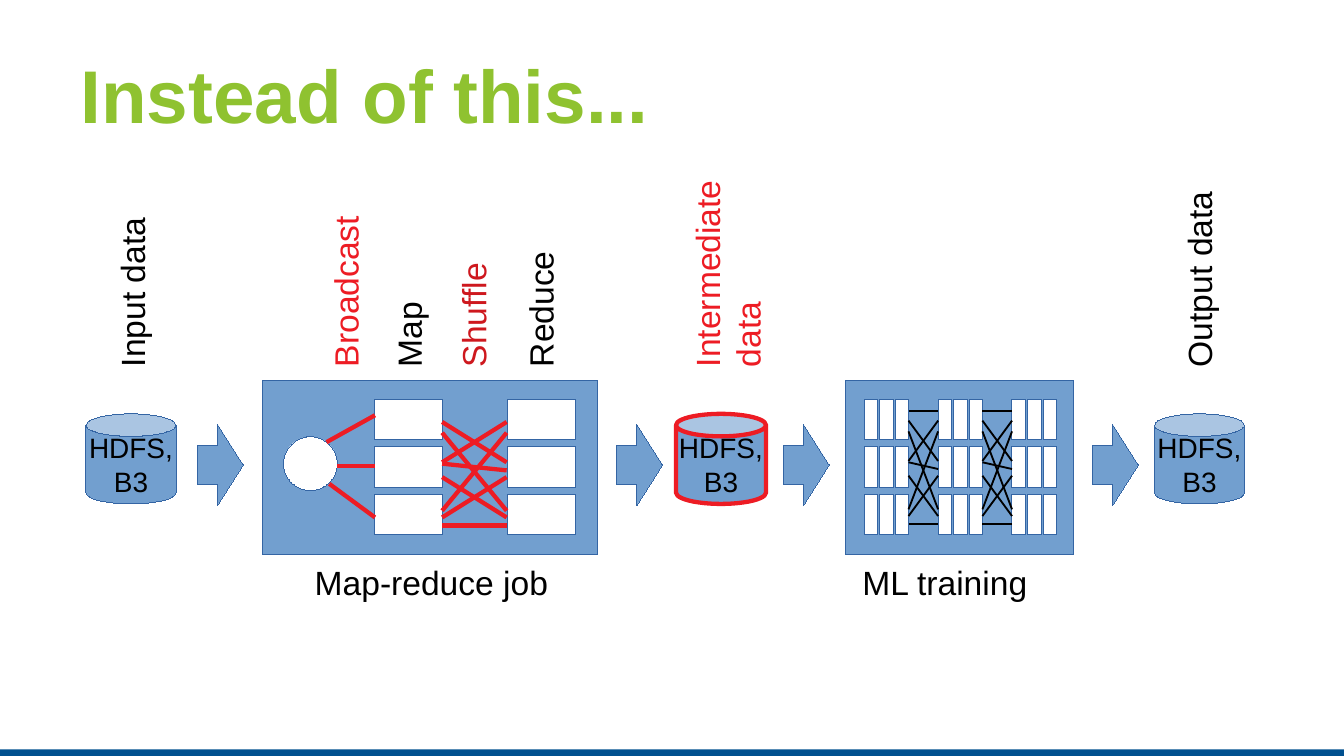
from dataclasses import dataclass
from itertools import product

from lxml.etree import SubElement
from pptx import Presentation
from pptx.dml.color import RGBColor
from pptx.enum.shapes import MSO_CONNECTOR, MSO_SHAPE
from pptx.enum.text import MSO_ANCHOR, MSO_AUTO_SIZE, PP_ALIGN
from pptx.oxml.ns import qn
from pptx.util import Inches, Pt


@dataclass(frozen=True)
class Theme:
    font: str = "Arial"
    title_size: int = 40
    label_size: int = 18
    store_size: int = 15
    hairline: float = 0.01
    thin: float = 1
    thick: float = 2.3
    green: str = "8FC230"
    navy: str = "00508F"
    blue: str = "729FCF"
    outline: str = "3465A4"
    red: str = "ED1C24"
    dark_red: str = "CE181E"
    black: str = "000000"
    white: str = "FFFFFF"


THEME = Theme()
SLIDE_WIDTH = 10
SLIDE_HEIGHT = SLIDE_WIDTH * 9 / 16
STAGE_TOP, STAGE_HEIGHT = 2.83, 1.3
ROW_TOP, ROW_STEP, ROW_HEIGHT = 2.97, 0.355, 0.3
STRAIGHT_LINK = (0.09, 0.09)
CROSSING_LINKS = [(0.46, 0.16), (0.82, 0.24), (0.16, 0.46), (0.47, 0.52),
                  (0.87, 0.57), (0.24, 0.82), (0.57, 0.87), (0.93, 0.93)]


def style_text(frame, size, color, align, bold=False):
    for paragraph in frame.paragraphs:
        paragraph.alignment = align
        for run in paragraph.runs:
            run.font.name = THEME.font
            run.font.size = Pt(size)
            run.font.bold = bold
            run.font.color.rgb = RGBColor.from_string(color)


def add_block(slide, preset, left, top, width, height, fill,
              outline=THEME.outline, weight=THEME.hairline):
    block = slide.shapes.add_shape(
        preset, Inches(left), Inches(top), Inches(width), Inches(height))
    block.shadow.inherit = False
    block.fill.solid()
    block.fill.fore_color.rgb = RGBColor.from_string(fill)
    if outline:
        block.line.color.rgb = RGBColor.from_string(outline)
        block.line.width = Pt(weight)
    else:
        block.line.fill.background()
    return block


def add_title(slide, text):
    title = slide.shapes.title
    title.left, title.top = Inches(0.5), Inches(0.23)
    title.width, title.height = Inches(9), Inches(0.94)
    frame = title.text_frame
    frame.text = text
    frame.auto_size = MSO_AUTO_SIZE.NONE
    frame.vertical_anchor = MSO_ANCHOR.MIDDLE
    style_text(frame, THEME.title_size, THEME.green, PP_ALIGN.LEFT, bold=True)


def add_label(slide, text, left, top, width, height,
              color=THEME.black, align=PP_ALIGN.CENTER):
    label = slide.shapes.add_textbox(
        Inches(left), Inches(top), Inches(width), Inches(height))
    label.text_frame.word_wrap = True
    label.text_frame.text = text
    style_text(label.text_frame, THEME.label_size, color, align)
    return label


def add_upright_label(slide, text, left, length, thickness, color):
    label = add_label(slide, text, left + (thickness - length) / 2,
                      STAGE_TOP - (length + thickness) / 2,
                      length, thickness, color, PP_ALIGN.LEFT)
    label.rotation = 270


def add_store(slide, left, outline=THEME.outline, weight=THEME.hairline):
    store = add_block(slide, MSO_SHAPE.CAN, left, 3.08, 0.67, 0.67,
                      THEME.blue, outline, weight)
    store.adjustments[0] = 0.25
    frame = store.text_frame
    frame.word_wrap = False
    frame.vertical_anchor = MSO_ANCHOR.MIDDLE
    frame.text = "HDFS,\nB3"
    style_text(frame, THEME.store_size, THEME.black, PP_ALIGN.CENTER)


def add_flow_arrow(slide, left):
    arrow = add_block(slide, MSO_SHAPE.RIGHT_ARROW, left, 3.16, 0.34, 0.6, THEME.blue)
    arrow.adjustments[0] = 0.49
    arrow.adjustments[1] = 0.56


def add_stage(slide, left, width):
    add_block(slide, MSO_SHAPE.RECTANGLE, left, STAGE_TOP, width, STAGE_HEIGHT, THEME.blue)


def add_workers(slide, left, width):
    for row in range(3):
        add_block(slide, MSO_SHAPE.RECTANGLE, left, ROW_TOP + row * ROW_STEP,
                  width, ROW_HEIGHT, THEME.white)


def add_link(slide, start, end, color, weight):
    link = slide.shapes.add_connector(
        MSO_CONNECTOR.STRAIGHT, *(Inches(value) for value in (*start, *end)))
    link.line.color.rgb = RGBColor.from_string(color)
    link.line.width = Pt(weight)
    SubElement(link._element.spPr, qn("a:effectLst"))


def add_exchange(slide, left, right, top, links, color, weight):
    for sender, receiver in links:
        add_link(slide, (right, top + receiver), (left, top + sender), color, weight)


def add_training(slide):
    add_stage(slide, 6.29, 1.7)
    for layer, column in product(range(3), range(3)):
        add_workers(slide, 6.43 + layer * 0.55 + column * 0.117, 0.1)
    for layer in range(2):
        left = 6.76 + layer * 0.55
        add_exchange(slide, left, left + 0.22, ROW_TOP,
                     [STRAIGHT_LINK, *CROSSING_LINKS], THEME.black, THEME.thin)


def add_map_reduce(slide):
    add_stage(slide, 1.95, 2.5)
    add_block(slide, MSO_SHAPE.OVAL, 2.11, 3.25, 0.4, 0.4, THEME.white)
    for left in (2.79, 3.78):
        add_workers(slide, left, 0.5)
    add_exchange(slide, 3.29, 3.77, ROW_TOP + 0.01, CROSSING_LINKS,
                 THEME.red, THEME.thick)
    for start, mapper_y in (((2.43, 3.29), 3.09), ((2.51, 3.47), 3.47), ((2.45, 3.6), 3.85)):
        add_link(slide, start, (2.79, mapper_y), THEME.red, THEME.thick)


def main():
    deck = Presentation()
    deck.slide_width, deck.slide_height = Inches(SLIDE_WIDTH), Inches(SLIDE_HEIGHT)
    slide = deck.slides.add_slide(deck.slide_layouts[5])

    add_block(slide, MSO_SHAPE.RECTANGLE, 0, SLIDE_HEIGHT - 0.05, SLIDE_WIDTH, 0.05,
              THEME.navy, outline=None)
    add_title(slide, "Instead of this...")

    for left in (1.47, 4.59, 5.83, 8.13):
        add_flow_arrow(slide, left)
    add_store(slide, 0.64)
    add_training(slide)
    add_store(slide, 5.03, THEME.red, THEME.thick)
    add_store(slide, 8.59)
    add_map_reduce(slide)

    for text, left in (("Map-reduce job", 1.95), ("ML training", 5.77)):
        add_label(slide, text, left, STAGE_TOP + STAGE_HEIGHT, 2.52, 0.38)

    upright_labels = [
        ("Broadcast", 2.37, 1.53, 0.66, THEME.red),
        ("Shuffle", 3.32, 1.35, 0.4, THEME.dark_red),
        ("Map", 2.84, 1.35, 0.4, THEME.black),
        ("Reduce", 3.82, 1.35, 0.4, THEME.black),
        ("Input data", 0.78, 1.35, 0.4, THEME.black),
        ("Intermediate data", 5.06, 1.63, 0.66, THEME.red),
        ("Output data", 8.72, 1.63, 0.66, THEME.black),
    ]
    for upright_label in upright_labels:
        add_upright_label(slide, *upright_label)

    deck.save("out.pptx")


if __name__ == "__main__":
    main()
